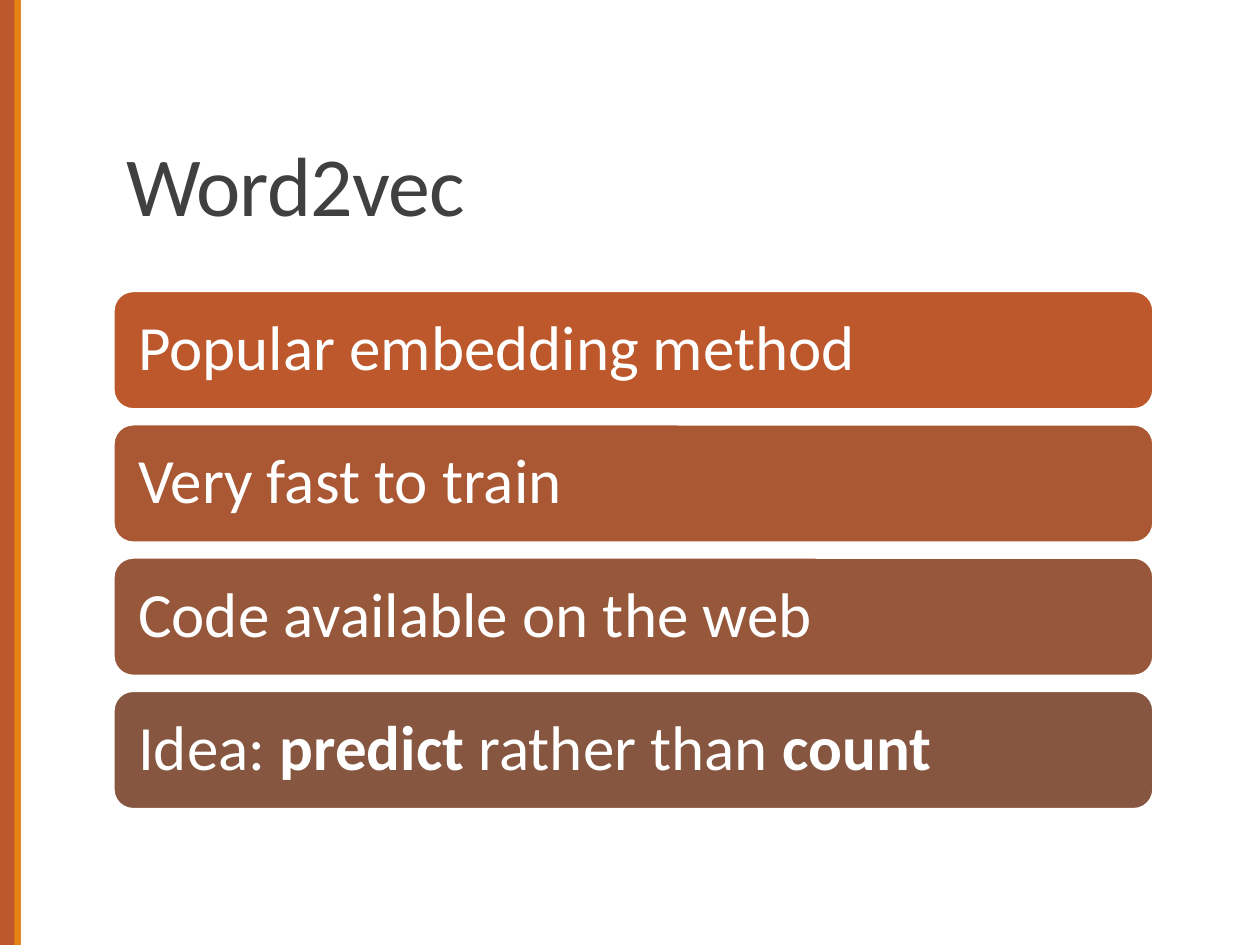
from pptx import Presentation
from pptx.dml.color import RGBColor
from pptx.enum.shapes import MSO_SHAPE as Shape
from pptx.enum.text import MSO_ANCHOR as Anchor, MSO_AUTO_SIZE as AutoSize, PP_ALIGN as Align
from pptx.util import Cm, Pt

FONT = "Calibri"
COLORS = {
    "rust": "BD582C",
    "orange": "E48312",
    "title": "404040",
    "white": "FFFFFF",
}
# Each card has its fill and its (text, bold) spans.
CARDS = [
    ("BD582C", [("Popular embedding method", False)]),
    ("AA5834", [("Very fast to train", False)]),
    ("97573A", [("Code available on the web", False)]),
    ("865640", [("Idea: ", False), ("predict", True),
                (" rather than ", False), ("count", True)]),
]


def rgb(value):
    return RGBColor.from_string(value)


def add_filled(page, kind, box, fill):
    shape = page.shapes.add_shape(kind, *box)
    shape.shadow.inherit = False
    shape.fill.solid()
    shape.fill.fore_color.rgb = rgb(fill)
    shape.line.fill.background()
    return shape


def format_para(para, size, color, spacing):
    para.alignment = Align.LEFT
    para.line_spacing = spacing
    para.font.name = FONT
    para.font.size = Pt(size)
    para.font.color.rgb = rgb(color)


def add_edge(page, left, top, width, height):
    """Draw the rust band with an orange stripe along its right side."""
    stripe = Cm(0.13)
    add_filled(page, Shape.RECTANGLE, (left, top, width, height), COLORS["rust"])
    add_filled(page, Shape.RECTANGLE,
               (left + width - stripe, top, stripe, height), COLORS["orange"])


def set_title(page, left, top, width, height):
    title = page.shapes.title
    title.left, title.top, title.width, title.height = left, top, width, height
    frame = title.text_frame
    frame.text = "Word2vec"
    frame.auto_size = AutoSize.NONE
    frame.vertical_anchor = Anchor.BOTTOM
    para = frame.paragraphs[0]
    format_para(para, 48, COLORS["title"], 0.85)
    para.runs[0].font._element.set("spc", "-50")


def add_card(page, box, fill, spans):
    card = add_filled(page, Shape.ROUNDED_RECTANGLE, box, fill)
    card.line.color.rgb = rgb(COLORS["white"])
    card.line.width = Pt(1.25)
    frame = card.text_frame
    frame.word_wrap = True
    frame.vertical_anchor = Anchor.MIDDLE
    frame.margin_left = frame.margin_right = Cm(0.38)
    frame.margin_top = frame.margin_bottom = Cm(0.38)
    para = frame.paragraphs[0]
    format_para(para, 36, COLORS["white"], 0.9)
    for text, bold in spans:
        span = para.add_run()
        span.text = text
        span.font.bold = bold


def add_cards(page, left, top, width, height):
    """Stack the cards over the box with equal gaps."""
    card_height = Cm(2.38)
    pitch = (height - card_height) // (len(CARDS) - 1)
    for row, (fill, spans) in enumerate(CARDS):
        add_card(page, (left, top + row * pitch, width, card_height), fill, spans)


def main():
    deck = Presentation()
    deck.slide_width, deck.slide_height = Cm(25.4), Cm(19.05)
    page = deck.slides.add_slide(deck.slide_layouts[5])
    left, width = Cm(2.29), Cm(20.96)
    add_edge(page, 0, 0, Cm(0.42), deck.slide_height)
    set_title(page, left, Cm(0.79), width, Cm(4.04))
    add_cards(page, left, Cm(5.87), width, Cm(10.44))
    deck.save("out.pptx")


if __name__ == "__main__":
    main()
